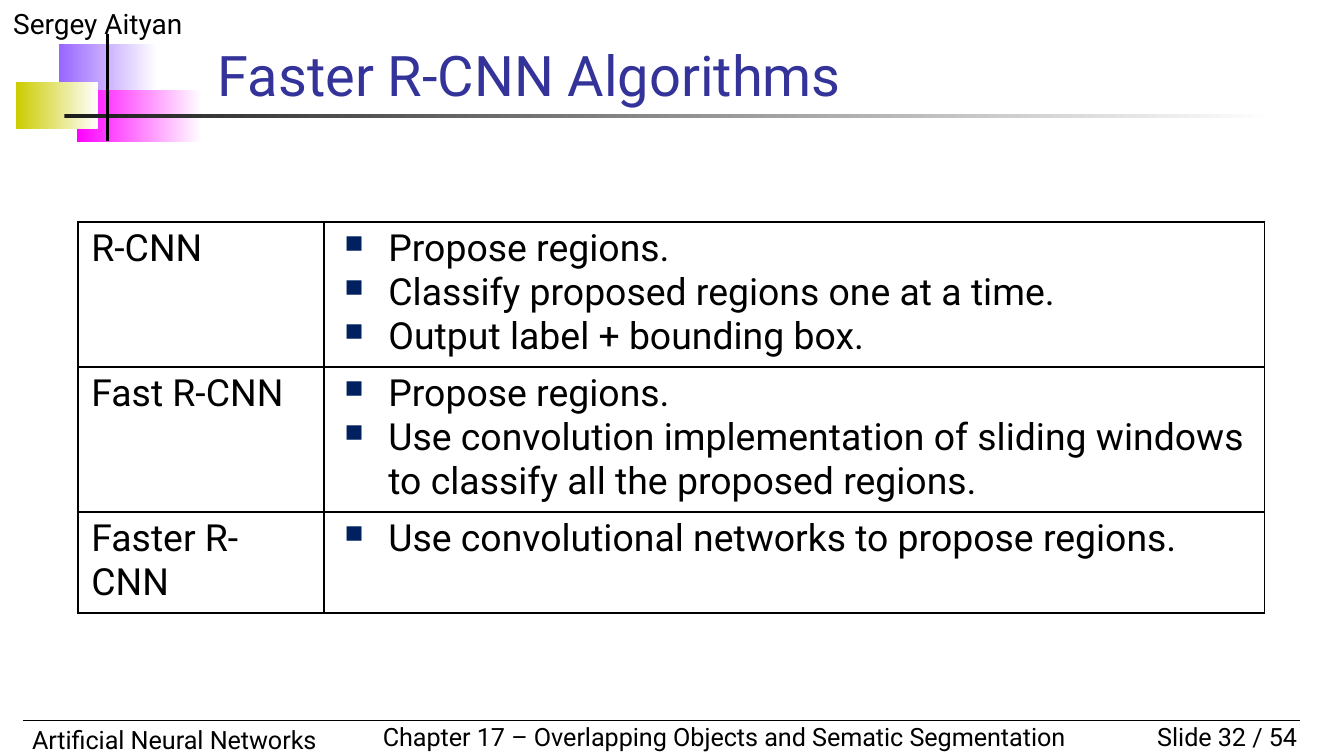
from typing import NamedTuple

from lxml import etree
from pptx import Presentation
from pptx.dml.color import RGBColor
from pptx.enum.shapes import MSO_CONNECTOR, MSO_SHAPE
from pptx.enum.text import MSO_ANCHOR, PP_ALIGN
from pptx.oxml.ns import qn
from pptx.util import Inches, Pt

RECTANGLE = MSO_SHAPE.RECTANGLE
STRAIGHT = MSO_CONNECTOR.STRAIGHT
LEFT, RIGHT = PP_ALIGN.LEFT, PP_ALIGN.RIGHT
TOP, BOTTOM = MSO_ANCHOR.TOP, MSO_ANCHOR.BOTTOM
TITLE_ONLY = 5
FONT = "Roboto"
COLORS = {
    "violet": "9966FF",
    "magenta": "FF00FF",
    "olive": "CCCC00",
    "charcoal": "1C1C1C",
    "white": "FFFFFF",
    "black": "000000",
    "title": "333399",
    "bullet": "002060",
}


class Band(NamedTuple):
    left: float
    top: float
    width: float
    height: float
    color: str


class Label(NamedTuple):
    left: float
    top: float
    width: float
    height: float
    text: str
    size: float
    align: PP_ALIGN = LEFT


class Rule(NamedTuple):
    start: tuple
    end: tuple
    weight: float


class Method(NamedTuple):
    name: str
    steps: tuple
    height: float


BANDS = [
    Band(0.44, 0.33, 0.73, 0.39, "violet"),
    Band(0.57, 0.67, 0.93, 0.39, "magenta"),
    Band(0.12, 0.61, 0.61, 0.35, "olive"),
    Band(0.48, 0.85, 9, 0.03, "charcoal"),
]
LABELS = [
    Label(0, 0, 2.5, 0.35, "Sergey Aityan", 15),
    Label(8.25, 5.32, 1.5, 0.33, "Slide 32 / 54", 13.5, RIGHT),
    Label(0.14, 5.34, 3.7, 0.33, "Artificial Neural Networks", 13.5),
    Label(2.75, 5.32, 5.4, 0.33,
          "Chapter 17 – Overlapping Objects and Sematic Segmentation", 13.5),
]
RULES = [
    Rule((0.17, 5.36), (9.67, 5.36), 0.75),
    Rule((0.8, 0.25), (0.8, 1.05), 2),
]
METHODS = [
    Method("R-CNN", ("Propose regions.",
                     "Classify proposed regions one at a time.",
                     "Output label + bounding box."), 1.08),
    Method("Fast R-CNN", ("Propose regions.",
                          "Use convolution implementation of sliding windows "
                          "to classify all the proposed regions."), 1.08),
    Method("Faster R-CNN", ("Use convolutional networks to propose regions.",), 0.75),
]
COLUMN_WIDTHS = (1.83, 7)


def rgb(name: str) -> RGBColor:
    return RGBColor.from_string(COLORS[name])


def format_font(font, size: float, color: str = "black") -> None:
    values = {"name": FONT, "size": Pt(size), "bold": False}
    for key, value in values.items():
        setattr(font, key, value)
    font.color.rgb = rgb(color)


def write(frame, text: str, size: float, color: str = "black",
          align: PP_ALIGN = LEFT) -> None:
    frame.word_wrap = True
    para = frame.paragraphs[0]
    para.alignment = align
    span = para.add_run()
    span.text = text
    format_font(span.font, size, color)


def draw_band(page, band: Band) -> None:
    box = page.shapes.add_shape(RECTANGLE, *map(Inches, band[:4]))
    box.shadow.inherit = False
    box.line.fill.background()
    box.fill.gradient()
    box.fill.gradient_angle = 0
    for stop, position, color in zip(box.fill.gradient_stops, (0, 1),
                                     (band.color, "white")):
        stop.position = position
        stop.color.rgb = rgb(color)


def draw_label(page, label: Label) -> None:
    box = page.shapes.add_textbox(*map(Inches, label[:4]))
    write(box.text_frame, label.text, label.size, align=label.align)


def draw_rule(page, rule: Rule) -> None:
    line = page.shapes.add_connector(STRAIGHT, *map(Inches, rule.start + rule.end))
    line.line.color.rgb = rgb("black")
    line.line.width = Pt(rule.weight)
    etree.SubElement(line._element.spPr, qn("a:effectLst"))


def add_bullet(para) -> None:
    properties = para._p.get_or_add_pPr()
    properties.set("marL", str(Inches(0.38)))
    properties.set("indent", str(-Inches(0.38)))
    color = etree.SubElement(properties, qn("a:buClr"))
    etree.SubElement(color, qn("a:srgbClr"), val=COLORS["bullet"])
    etree.SubElement(properties, qn("a:buSzPct"), val="120000")
    etree.SubElement(properties, qn("a:buChar"), char="▪")


def add_borders(cell) -> None:
    properties = cell._tc.get_or_add_tcPr()
    for position, side in enumerate(("lnL", "lnR", "lnT", "lnB")):
        border = etree.Element(qn(f"a:{side}"), w=str(Pt(1)))
        fill = etree.SubElement(border, qn("a:solidFill"))
        etree.SubElement(fill, qn("a:srgbClr"), val=COLORS["black"])
        properties.insert(position, border)


def fill_cell(cell, lines: tuple, bulleted: bool) -> None:
    cell.vertical_anchor = TOP
    cell.margin_top = cell.margin_bottom = Pt(2.7)
    cell.fill.background()
    add_borders(cell)
    frame = cell.text_frame
    for index, text in enumerate(lines):
        para = frame.add_paragraph() if index else frame.paragraphs[0]
        if bulleted:
            add_bullet(para)
        span = para.add_run()
        span.text = text
        format_font(span.font, 20)


def draw_table(page, methods: list) -> None:
    height = sum(method.height for method in methods)
    table = page.shapes.add_table(
        len(methods), len(COLUMN_WIDTHS), Inches(0.58), Inches(1.65),
        Inches(sum(COLUMN_WIDTHS)), Inches(height)).table
    table.first_row = table.horz_banding = False
    for column, width in zip(table.columns, COLUMN_WIDTHS):
        column.width = Inches(width)
    for row, method in zip(table.rows, methods):
        row.height = Inches(method.height)
        fill_cell(row.cells[0], (method.name,), False)
        fill_cell(row.cells[1], method.steps, True)


def main() -> None:
    # Widescreen page, 16 to 9
    deck = Presentation()
    deck.slide_width = Inches(10)
    deck.slide_height = deck.slide_width * 9 // 16
    page = deck.slides.add_slide(deck.slide_layouts[TITLE_ONLY])

    # Corner ornament, header, footer and rules
    for band in BANDS:
        draw_band(page, band)
    for label in LABELS:
        draw_label(page, label)
    for rule in RULES:
        draw_rule(page, rule)

    # Title
    title = page.shapes.title
    place = {"left": 1.52, "top": 0.31, "width": 7.35, "height": 0.54}
    for key, value in place.items():
        setattr(title, key, Inches(value))
    title.text_frame.vertical_anchor = BOTTOM
    write(title.text_frame, "Faster R-CNN Algorithms", 30, "title")

    # Comparison of the methods
    draw_table(page, METHODS)
    deck.save("out.pptx")


if __name__ == "__main__":
    main()
